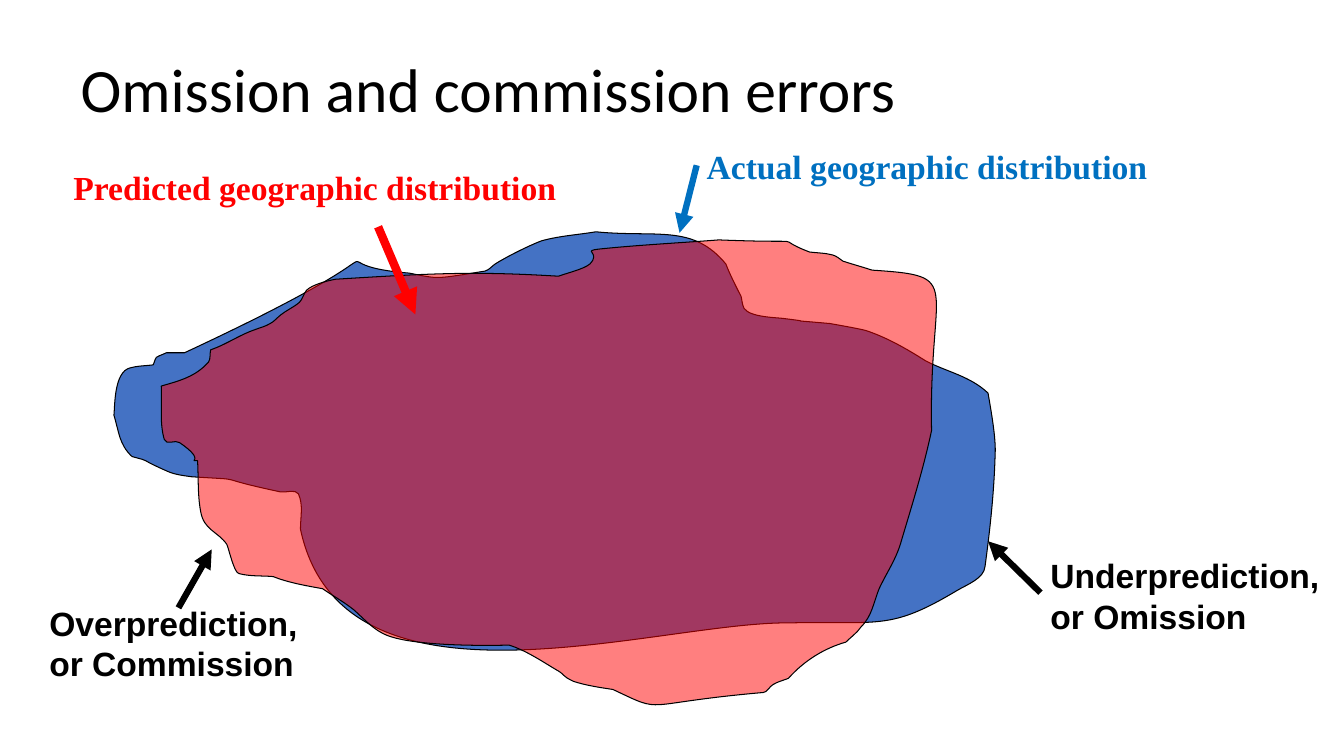
"""Draw a slide on omission and commission errors in distribution models."""
from lxml import etree
from pptx import Presentation
from pptx.dml.color import RGBColor
from pptx.enum.shapes import MSO_CONNECTOR
from pptx.enum.text import MSO_ANCHOR, MSO_AUTO_SIZE, PP_ALIGN
from pptx.oxml.ns import qn
from pptx.util import Pt

PX = 9144
STRAIGHT = MSO_CONNECTOR.STRAIGHT
MIDDLE = MSO_ANCHOR.MIDDLE
FIT_SHAPE = MSO_AUTO_SIZE.SHAPE_TO_FIT_TEXT
NO_FIT = MSO_AUTO_SIZE.NONE
LEFT = PP_ALIGN.LEFT
BLACK = RGBColor(0x00, 0x00, 0x00)
RED = RGBColor(0xFF, 0x00, 0x00)
BLUE = RGBColor(0x00, 0x70, 0xC0)
AREA_BLUE = RGBColor(0x44, 0x72, 0xC4)
SERIF = "Times New Roman"

ACTUAL_BOX = (113, 222, 875, 500)
ACTUAL_START = (165, 350)
ACTUAL_CURVES = [
    (171, 350, 177, 350, 183, 350), (447, 227, 292, 262, 406, 271),
    (436, 277, 431, 277, 481, 269), (485, 268, 488, 264, 491, 262),
    (502, 255, 524, 244, 537, 239), (555, 234, 573, 233, 591, 230),
    (652, 236, 687, 222, 720, 262), (724, 273, 735, 294, 735, 294),
    (736, 298, 736, 302, 738, 306), (744, 315, 771, 315, 777, 316),
    (818, 321, 766, 316, 823, 321), (823, 321, 852, 326, 859, 328),
    (880, 335, 899, 346, 918, 358), (939, 369, 962, 373, 980, 390),
    (983, 408, 988, 435, 987, 451), (986, 488, 982, 525, 977, 562),
    (976, 574, 959, 580, 949, 586), (882, 626, 873, 616, 782, 618),
    (650, 617, 340, 722, 298, 525), (298, 513, 301, 501, 296, 490),
    (293, 485, 284, 489, 278, 488), (203, 472, 252, 477, 190, 473),
    (183, 472, 174, 471, 167, 468), (133, 453, 153, 459, 131, 453),
    (118, 441, 118, 428, 113, 412), (114, 403, 113, 369, 129, 365),
    (136, 363, 144, 363, 152, 362), (156, 352, 152, 356, 165, 350),
]
PREDICTED_BOX = (158, 234, 800, 475)
PREDICTED_START = (196, 457)
PREDICTED_CURVES = [
    (197, 474, 196, 491, 199, 507), (202, 526, 216, 527, 225, 540),
    (227, 544, 232, 568, 237, 569), (248, 572, 260, 571, 271, 572),
    (286, 578, 303, 581, 320, 584), (330, 591, 341, 597, 351, 605),
    (359, 612, 369, 623, 379, 628), (405, 643, 500, 640, 505, 640),
    (521, 645, 536, 655, 551, 664), (562, 670, 556, 670, 569, 676),
    (581, 680, 595, 682, 608, 684), (661, 709, 631, 698, 757, 687),
    (761, 687, 763, 681, 767, 679), (772, 676, 777, 675, 782, 673),
    (798, 655, 818, 643, 839, 637), (844, 632, 850, 628, 854, 622),
    (865, 611, 866, 599, 872, 584), (879, 569, 888, 556, 893, 540),
    (904, 503, 916, 465, 924, 427), (921, 278, 958, 274, 865, 268),
    (856, 265, 845, 262, 836, 259), (833, 257, 830, 254, 826, 253),
    (819, 251, 811, 251, 803, 250), (761, 234, 814, 242, 713, 238),
    (674, 241, 634, 243, 595, 247), (576, 249, 597, 250, 585, 262),
    (579, 267, 562, 271, 554, 274), (471, 269, 430, 271, 333, 277),
    (327, 278, 310, 282, 304, 288), (301, 292, 300, 297, 297, 300),
    (291, 305, 284, 308, 279, 312), (275, 315, 272, 319, 268, 321),
    (263, 324, 258, 325, 253, 327), (238, 332, 224, 342, 209, 347),
    (208, 351, 209, 356, 207, 359), (194, 374, 177, 378, 160, 383),
    (161, 401, 158, 419, 163, 436), (165, 442, 174, 436, 178, 439),
    (206, 458, 185, 457, 196, 457),
]


def write(tf, text, size=24, font="Arial", color=BLACK, bold=True):
    """Fill a text frame, one paragraph for each line of the text."""
    for i, line in enumerate(text.split("\n")):
        p = tf.add_paragraph() if i else tf.paragraphs[0]
        p.alignment = LEFT
        r = p.add_run()
        r.text = line
        r.font.size = Pt(size)
        r.font.name = font
        r.font.bold = bold
        r.font.color.rgb = color


def bend(sp, box, start, curves):
    """Turn the straight segments of a freeform into cubic curves in a box."""
    left, top, width, height = box
    sp.left, sp.top, sp.width, sp.height = (v * PX for v in box)
    path = next(sp._element.iter(qn("a:path")))
    path.set("w", str(width))
    path.set("h", str(height))
    for segment, coords in zip(path, [start, *curves]):
        if segment.tag == qn("a:lnTo"):
            segment.tag = qn("a:cubicBezTo")
        for pt in list(segment):
            segment.remove(pt)
        for x, y in zip(coords[::2], coords[1::2]):
            etree.SubElement(segment, qn("a:pt"), x=str(x - left), y=str(y - top))


class SlideBuilder:
    """Add styled elements to one slide, with lengths in px."""

    def __init__(self, prs):
        """Start a title-only slide."""
        self.s = prs.slides.add_slide(prs.slide_layouts[5])

    def title(self, text, x, y, w, h):
        """Place and fill the title."""
        sp = self.s.shapes.title
        sp.left, sp.top, sp.width, sp.height = (v * PX for v in (x, y, w, h))
        tf = sp.text_frame
        tf.auto_size = NO_FIT
        tf.vertical_anchor = MIDDLE
        tf.margin_left = tf.margin_right = 13 * PX
        tf.margin_top = tf.margin_bottom = 7 * PX
        write(tf, text, size=44, font="Calibri", bold=False)

    def label(self, text, x, y, w, h, **style):
        """Add a label that keeps its own line breaks."""
        sp = self.s.shapes.add_textbox(x * PX, y * PX, w * PX, h * PX)
        tf = sp.text_frame
        tf.word_wrap = False
        tf.auto_size = FIT_SHAPE
        write(tf, text, **style)

    def arrow(self, x1, y1, x2, y2, color=BLACK, width=4.5):
        """Add a line with a triangle at its end."""
        sp = self.s.shapes.add_connector(STRAIGHT, x1 * PX, y1 * PX, x2 * PX, y2 * PX)
        sp.line.color.rgb = color
        sp.line.width = Pt(width)
        ln = sp._element.spPr.find(qn("a:ln"))
        etree.SubElement(ln, qn("a:tailEnd"), type="triangle")
        etree.SubElement(sp._element.spPr, qn("a:effectLst"))

    def area(self, box, start, curves, color, opacity=100):
        """Add a closed curved outline and return it."""
        builder = self.s.shapes.build_freeform(*start, scale=PX)
        builder.add_line_segments([curve[4:] for curve in curves], close=True)
        sp = builder.convert_to_shape()
        bend(sp, box, start, curves)
        sp.shadow.inherit = False
        sp.fill.solid()
        sp.fill.fore_color.rgb = color
        if opacity < 100:
            rgb = sp._element.spPr.find(qn("a:solidFill"))[0]
            etree.SubElement(rgb, qn("a:alpha"), val=str(opacity * 1000))
        sp.line.color.rgb = BLACK
        sp.line.width = Pt(0.75)
        return sp

    def group(self, *shapes):
        """Group the given shapes."""
        self.s.shapes.add_group_shape(shapes)


def main():
    """Build and save the slide."""
    prs = Presentation()
    prs.slide_width, prs.slide_height = 1333 * PX, 750 * PX
    slide = SlideBuilder(prs)
    slide.title("Omission and commission errors", 67, 25, 1200, 125)
    slide.group(
        slide.area(ACTUAL_BOX, ACTUAL_START, ACTUAL_CURVES, AREA_BLUE),
        slide.area(PREDICTED_BOX, PREDICTED_START, PREDICTED_CURVES, RED, opacity=50),
    )
    slide.label("Actual geographic distribution", 691, 140, 461, 50, font=SERIF, color=BLUE)
    slide.label("Predicted geographic distribution", 63, 161, 504, 50, font=SERIF, color=RED)
    slide.label("Overprediction,\nor Commission", 39, 593, 269, 91)
    slide.label("Underprediction,\nor Omission", 1032, 546, 289, 91)
    slide.arrow(691, 164, 674, 231, color=BLUE)
    slide.arrow(375, 225, 412, 312, color=RED, width=6)
    slide.arrow(177, 603, 210, 545)
    slide.arrow(1032, 588, 980, 537)
    prs.save("out.pptx")


if __name__ == "__main__":
    main()
